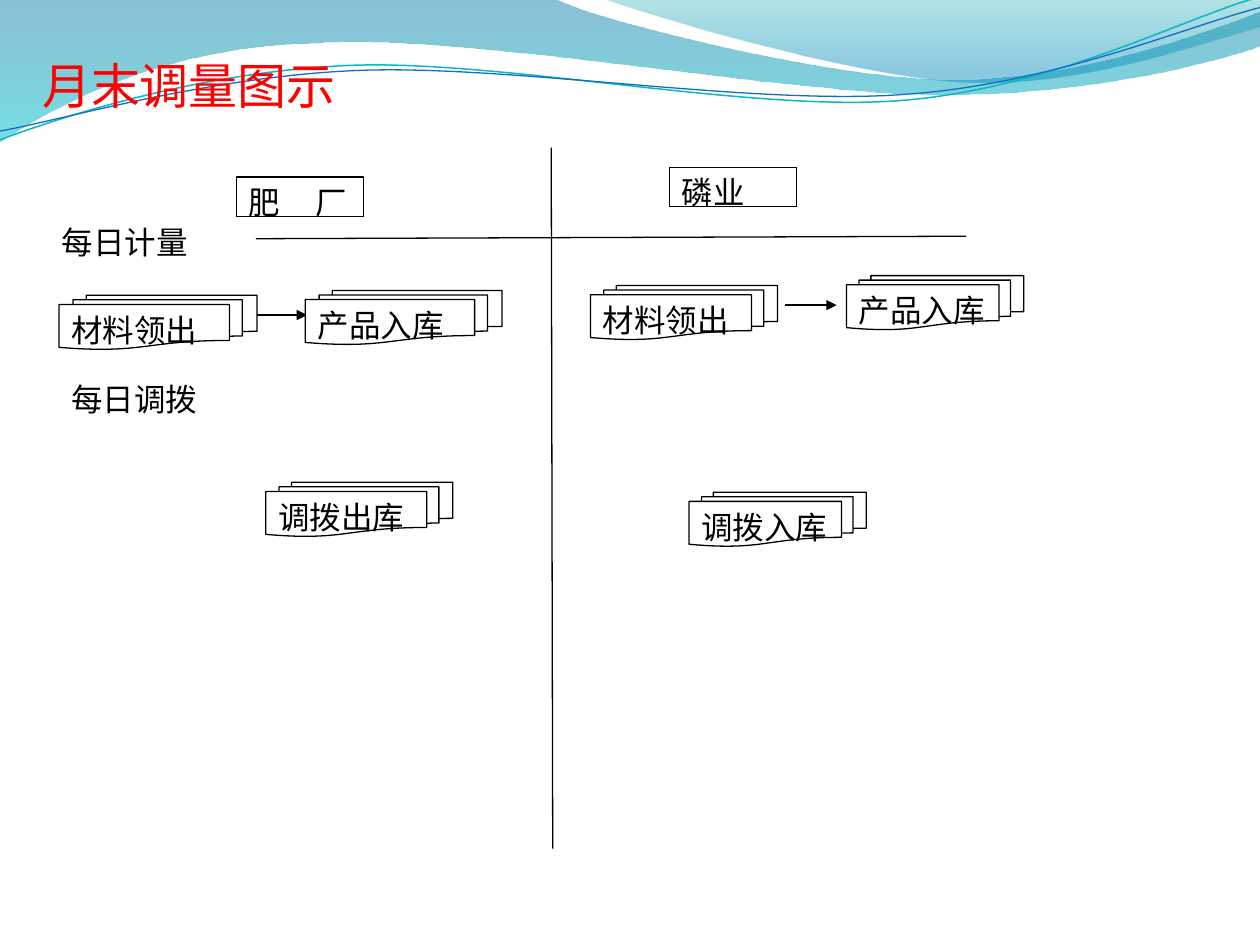
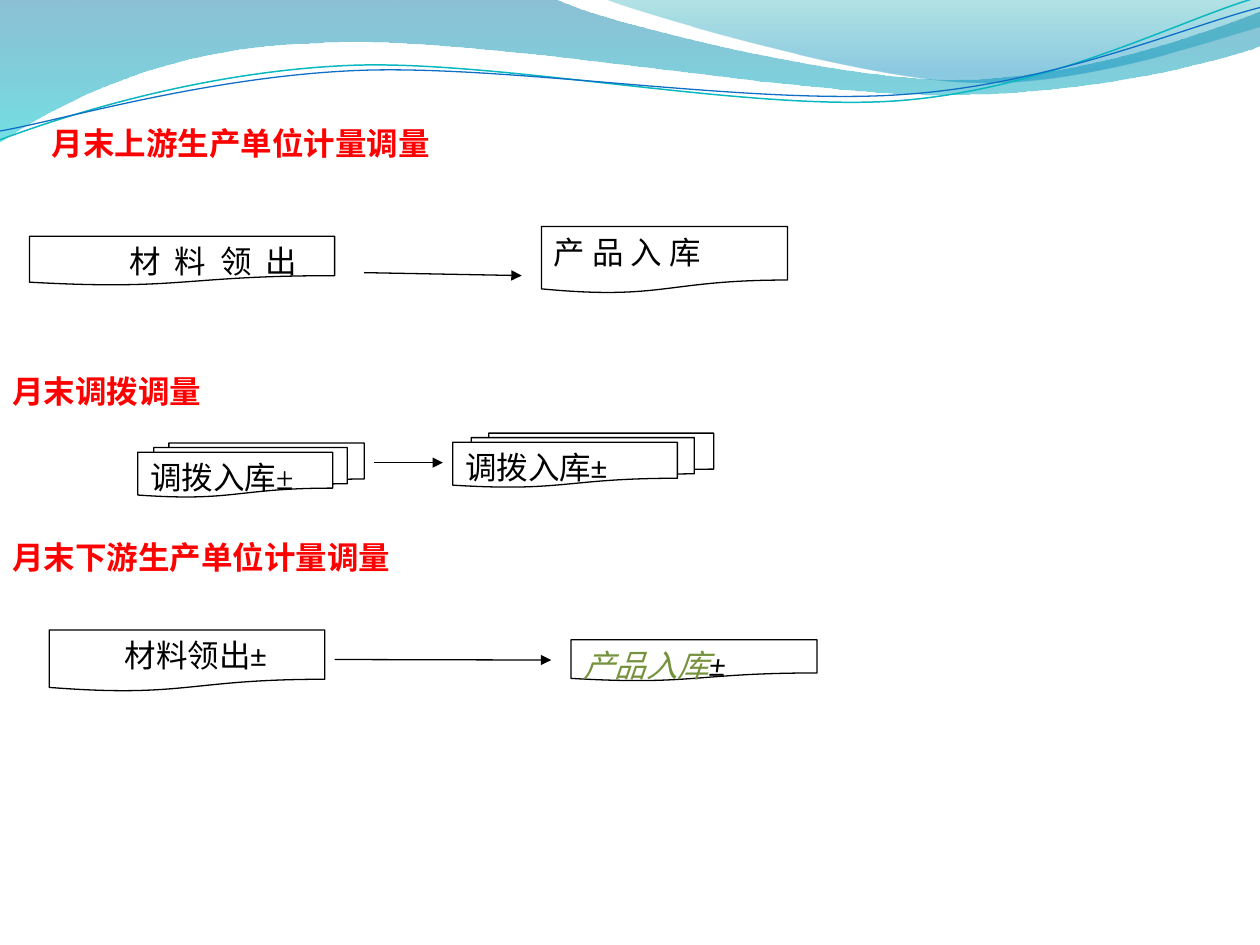
"""Build two slides on month-end quantity adjustment between two plants."""
from lxml import etree
from pptx import Presentation
from pptx.dml.color import RGBColor
from pptx.enum.shapes import MSO_CONNECTOR, MSO_SHAPE
from pptx.enum.text import MSO_ANCHOR, MSO_AUTO_SIZE, PP_ALIGN
from pptx.oxml.ns import qn
from pptx.util import Inches, Pt

LABEL = MSO_SHAPE.RECTANGLE
SHEET = MSO_SHAPE.FLOWCHART_DOCUMENT
STACK = MSO_SHAPE.FLOWCHART_MULTIDOCUMENT
STRAIGHT = MSO_CONNECTOR.STRAIGHT
TOP, BOTTOM = MSO_ANCHOR.TOP, MSO_ANCHOR.BOTTOM
LEFT, CENTER, JUSTIFY = PP_ALIGN.LEFT, PP_ALIGN.CENTER, PP_ALIGN.JUSTIFY
GROW, FIXED = MSO_AUTO_SIZE.SHAPE_TO_FIT_TEXT, MSO_AUTO_SIZE.NONE

COLORS = {
    "ink": "000000", "paper": "FFFFFF", "heading": "FF0000", "product": "76923C",
    "deep": "0074A1", "aqua": "00C6CF", "teal": "00A1A9", "blue": "008BBF",
    "teal line": "0AB8BF", "blue line": "0F6FC6",
}
BODY = {"name": "Calibri", "size": Pt(18), "bold": False, "color": "ink"}
CAPTION = BODY | {"name": "TeX Gyre Pagella"}
HEADING = CAPTION | {"color": "heading", "bold": True}
BIG_HEADING = HEADING | {"size": Pt(28), "bold": False}

deck = Presentation()
deck.slide_width, deck.slide_height = Inches(10), Inches(7.5)
COLUMN, ROW = deck.slide_width / 128, deck.slide_height / 96
WAVE_UNIT = 1.28
layout = deck.slide_layouts[5]


def grid(*lengths):
    """Turn alternating columns and rows into slide lengths."""
    return [round(n * (ROW if i % 2 else COLUMN)) for i, n in enumerate(lengths)]


def write(shape, runs, align=LEFT, anchor=TOP, wrap=False, autosize=GROW, level=0):
    """Fill a shape with one paragraph of (text, format) runs."""
    frame = shape.text_frame
    settings = {"word_wrap": wrap, "auto_size": autosize, "vertical_anchor": anchor}
    for key, value in settings.items():
        setattr(frame, key, value)
    paragraph = frame.paragraphs[0]
    paragraph.alignment, paragraph.level = align, level
    for text, look in runs:
        run = paragraph.add_run()
        run.text = text
        for key, value in look.items():
            if key == "color":
                run.font.color.rgb = RGBColor.from_string(COLORS[value])
            elif key == "spacing":
                run.font._element.set("spc", str(value))
            else:
                setattr(run.font, key, value)


WAVES = [
    {"start": (0, 0), "stops": [(0, "deep", 45), (1, "aqua", 55)], "steps": [
        (44, -0.1), (47.6, 1.7, 66.4, 6.3, 75.8, 6.3), (85.3, 6.3, 95.8, 2.6, 100, 0.9),
        (100.1, 3.6), (98.3, 4.4, 87, 7.6, 74.6, 7.5), (62.2, 7.5, 38.2, 2.8, 25.7, 3.4),
        (12.9, 3.6, 4.6, 8.3, -0.1, 11.3)]},
    {"start": (47.9, -0.1), "stops": [(0, "teal", 30), (0.8, "blue", 45)], "steps": [
        (50.9, 1.1, 68.2, 6.2, 76.9, 6.5), (85.6, 6.9, 96.1, 3.2, 100, 2.1), (100, 0)]},
    {"start": (0, 11.1), "line": ("teal line", 0.85), "steps": [
        (4.8, 9.3, 15.8, 5.7, 27.7, 5.2), (39.5, 4.7, 59.3, 8.9, 71.3, 8),
        (83.3, 7.1, 93.8, 1.5, 99.8, -0.2)]},
    {"start": (0, 10.4), "line": ("blue line", 0.75), "steps": [
        (4.7, 9.6, 16.4, 6.1, 28.3, 5.6), (40.3, 5.1, 59.7, 8.4, 71.7, 7.5),
        (83.6, 6.7, 94.1, 2.1, 100, 0.6)]},
]

SLIDES = [
    {
        "title": ("月末调量图示", BIG_HEADING, (3, 5, 32.8, 7.3)),
        "captions": [
            ("每日计量", CAPTION, (5, 22, 15.5, 5.12), TOP),
            ("每日调拨", CAPTION, (6, 38, 15.5, 5.12), TOP),
        ],
        "rules": [(26, 24.25, 98.15, 24), (56, 15, 56.15, 86.2)],
        "arrows": [(26, 32, 31.2, 32), (79.75, 31, 85, 31)],
        "papers": [
            (LABEL, (24, 18, 12.9, 4),
             [("肥 ", BODY | {"spacing": 800}), ("厂", BODY)], JUSTIFY, 0),
            (LABEL, (68, 17, 12.9, 4), [("磷业", BODY)], JUSTIFY, 0),
            (STACK, (6, 30, 20.1, 5.5), [("材料领出", BODY)], JUSTIFY, 0),
            (STACK, (31, 29.5, 20, 5.5), [("产品入库", BODY)], JUSTIFY, 0),
            (STACK, (60, 29, 19, 5.5), [("材料领出", BODY)], JUSTIFY, 0),
            (STACK, (86, 28, 18, 5.5), [("产品入库", BODY)], JUSTIFY, 0),
            (STACK, (27, 49, 19, 5.5), [("调拨出库", BODY)], JUSTIFY, 0),
            (STACK, (70, 50, 18, 5.5), [("调拨入库", BODY)], JUSTIFY, 0),
        ],
    },
    {
        "title": ("月末上游生产单位计量调量", HEADING, (4, 12, 41.35, 5.12)),
        "captions": [
            ("月末调拨调量", HEADING | {"name": "Calibri"}, (0, 35, 22, 7.3), BOTTOM),
            ("月末下游生产单位计量调量", HEADING, (0, 54, 41.35, 5.12), TOP),
        ],
        "rules": [],
        "arrows": [(37, 27.7, 53, 28), (38, 47, 45, 47), (34, 67, 56, 67.05)],
        "papers": [
            (SHEET, (3, 24, 31, 5),
             [("材 料 领 出", BODY | {"spacing": 200})], CENTER, 1),
            (SHEET, (55, 23, 25, 6.8), [("产 品 入 库", BODY)], JUSTIFY, 0),
            (STACK, (14, 45, 23, 5.5),
             [("调拨入库±", BODY | {"name": "Times New Roman"})], LEFT, 0),
            (STACK, (46, 44, 26.5, 5.5), [("调拨入库±", BODY)], JUSTIFY, 0),
            (SHEET, (5, 64, 28, 6.25), [("材料领出±", BODY)], JUSTIFY, 1),
            (SHEET, (58, 65, 25, 4.2),
             [("产品入库", BODY | {"color": "product", "italic": True}),
              ("±", BODY | {"italic": True})], JUSTIFY, 0),
        ],
    },
]

pages = [deck.slides.add_slide(layout) for _ in SLIDES]

for number, wave in enumerate(WAVES):
    start, *points = [
        grid(step[i] * WAVE_UNIT, step[i + 1] * WAVE_UNIT)
        for step in [wave["start"]] + wave["steps"] for i in range(0, len(step), 2)]
    outline = pages[0].shapes.build_freeform(*start)
    outline.add_line_segments(points, close="stops" in wave)
    ribbon = outline.convert_to_shape()
    segments = iter(list(ribbon.element.iter(qn("a:lnTo"))))
    for step in wave["steps"]:
        first = next(segments)
        if len(step) == 6:
            first.tag = qn("a:cubicBezTo")
            for _ in range(2):
                extra = next(segments)
                first.append(extra[0])
                extra.getparent().remove(extra)
    ribbon.shadow.inherit = False
    if "stops" in wave:
        ribbon.line.fill.background()
        ribbon.fill.gradient()
        ribbon.fill.gradient_angle = 270
        for stop, (position, color, opacity) in zip(ribbon.fill.gradient_stops, wave["stops"]):
            stop.position = position
            stop.color.rgb = RGBColor.from_string(COLORS[color])
            tint = stop._gs.find(qn("a:srgbClr"))
            etree.SubElement(tint, qn("a:alpha")).set("val", str(opacity * 1000))
    else:
        ribbon.fill.background()
        color, weight = wave["line"]
        ribbon.line.color.rgb = RGBColor.from_string(COLORS[color])
        ribbon.line.width = Pt(weight)
    ribbon.element.nvSpPr.cNvPr.set("id", str(100 + number))
    layout.element.cSld.spTree.append(ribbon.element)

for page, content in zip(pages, SLIDES):
    text, look, box = content["title"]
    title = page.shapes.title
    title.left, title.top, title.width, title.height = grid(*box)
    write(title, [(text, look)])

    for ends in content["rules"] + content["arrows"]:
        line = page.shapes.add_connector(STRAIGHT, *grid(*ends))
        line.line.color.rgb = RGBColor.from_string(COLORS["ink"])
        line.line.width = Pt(0.75)
        if ends in content["arrows"]:
            etree.SubElement(line.line._get_or_add_ln(), qn("a:tailEnd")).set("type", "triangle")
        etree.SubElement(line.element.spPr, qn("a:effectLst"))

    for text, look, box, anchor in content["captions"]:
        write(page.shapes.add_textbox(*grid(*box)), [(text, look)], anchor=anchor)

    for kind, box, runs, align, level in content["papers"]:
        paper = page.shapes.add_shape(kind, *grid(*box))
        paper.shadow.inherit = False
        paper.fill.solid()
        paper.fill.fore_color.rgb = RGBColor.from_string(COLORS["paper"])
        paper.line.color.rgb = RGBColor.from_string(COLORS["ink"])
        paper.line.width = Pt(0.75)
        write(paper, runs, align, wrap=True, autosize=FIXED, level=level)

deck.save("out.pptx")
